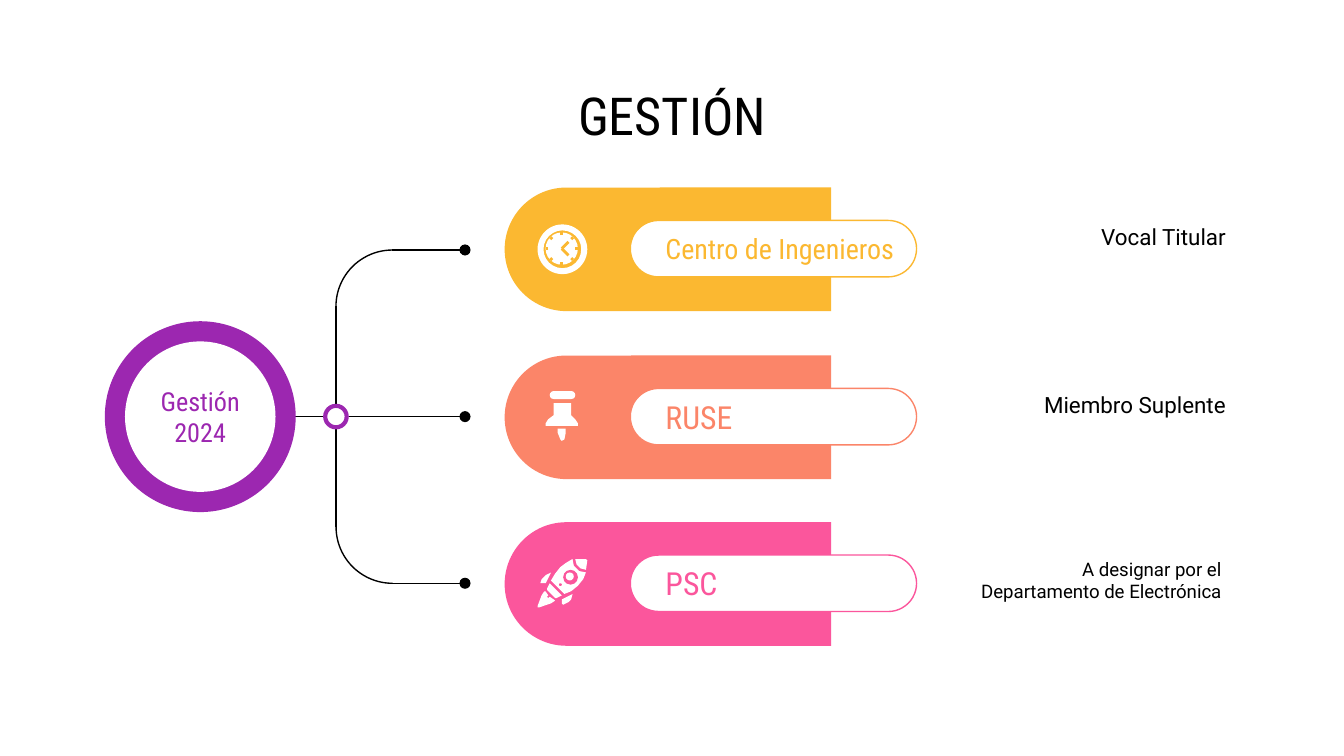
"""Build the GESTIÓN slide: a hub with three branches and their roles."""
import math
from dataclasses import dataclass

from lxml import etree
from pptx import Presentation
from pptx.dml.color import RGBColor
from pptx.enum import shapes, text
from pptx.oxml.ns import qn
from pptx.util import Pt

PX = 9144
FONT, CONDENSED = "Roboto", "Roboto Condensed"
BLACK = RGBColor(0x00, 0x00, 0x00)
WHITE = RGBColor(0xFF, 0xFF, 0xFF)
PURPLE = RGBColor(0x9C, 0x27, 0xB0)
YELLOW = RGBColor(0xFB, 0xB8, 0x31)
CORAL = RGBColor(0xFB, 0x85, 0x69)
PINK = RGBColor(0xFB, 0x56, 0x9C)
ICON_X = 418
HUB_X, HUB_Y = 250, 310
PITCH = 124
SHAPE = shapes.MSO_SHAPE

PIN_BODY = ((412, 300), (425, 300), (425, 309), (428, 312), (430, 315), (430, 317),
            (406, 317), (406, 315), (408, 312), (412, 309))
PIN_TIP = ((415, 319), (421, 319), (421, 322), (420, 327), (418, 328), (417, 327), (415, 322))
ROCKET = (
    ((426, 416), (421, 419), (417, 422), (413, 427), (410, 432), (420, 442), (425, 440),
     (430, 436), (434, 431), (436, 426), (431, 425), (427, 421)),
    ((428, 416), (434, 416), (436, 416), (437, 417), (436, 424), (432, 423), (429, 420)),
    ((409, 434), (407, 438), (407, 439), (413, 445), (414, 445), (418, 443)),
    ((426, 442), (418, 446), (418, 449), (419, 450), (423, 448), (425, 446)),
    ((410, 426), (406, 428), (403, 431), (402, 434), (406, 434)),
    ((405, 440), (403, 443), (400, 451), (400, 452), (401, 452), (410, 449), (413, 447),
     (412, 446), (409, 444), (408, 445), (407, 444), (408, 443), (406, 440)),
)


@dataclass(frozen=True)
class Branch:
    label: str
    label_size: int
    role: tuple[str, ...]
    role_size: int
    color: RGBColor
    y: int


BRANCHES = (
    Branch("Centro de Ingenieros", 15, ("Vocal Titular",), 12, YELLOW, 185),
    Branch("RUSE", 17, ("Miembro Suplente",), 12, CORAL, HUB_Y),
    Branch("PSC", 17, ("A designar por el ", "Departamento de Electrónica "), 10, PINK, 434),
)


def style(sp, fill: RGBColor | None, line: RGBColor | None = None, width: float = 0.75) -> None:
    """Set fill and outline and drop the shadow."""
    sp.shadow.inherit = False
    if fill is None:
        sp.fill.background()
    else:
        sp.fill.solid()
        sp.fill.fore_color.rgb = fill
    if line is None:
        sp.line.fill.background()
    else:
        sp.line.color.rgb = line
        sp.line.width = Pt(width)


def add_box(s, kind, x: int, y: int, w: int, h: int, fill: RGBColor | None,
            line: RGBColor | None = None, width: float = 0.75):
    """Add a preset shape."""
    sp = s.shapes.add_shape(kind, x * PX, y * PX, w * PX, h * PX)
    style(sp, fill, line, width)
    return sp


def add_disc(s, x: int, y: int, size: int, fill: RGBColor,
             line: RGBColor | None = None, width: float = 0.75):
    """Add a circle centred on a point."""
    return add_box(s, SHAPE.OVAL, x - size // 2, y - size // 2, size, size, fill, line, width)


def add_outline(s, points, fill: RGBColor) -> None:
    """Add a closed, filled polygon."""
    builder = s.shapes.build_freeform(*points[0], scale=PX)
    builder.add_line_segments(points[1:], close=True)
    style(builder.convert_to_shape(), fill)


def add_line(s, x1: float, y1: float, x2: float, y2: float, color: RGBColor = BLACK,
             width: float = 0.75, dot: bool = False) -> None:
    """Add a straight line, optionally ending in a dot."""
    ends = (round(v * PX) for v in (x1, y1, x2, y2))
    line = s.shapes.add_connector(shapes.MSO_CONNECTOR.STRAIGHT, *ends)
    line.line.color.rgb = color
    line.line.width = Pt(width)
    props = line._element.spPr
    if dot:
        etree.SubElement(props.find(qn("a:ln")), qn("a:tailEnd"), type="oval")
    etree.SubElement(props, qn("a:effectLst"))


def write(tf, lines, size: int, font: str, color: RGBColor, align,
          anchor=text.MSO_ANCHOR.MIDDLE, insets=(10, 10, 10, 10)) -> None:
    """Fill a text frame with evenly formatted paragraphs."""
    tf.word_wrap = True
    tf.auto_size = text.MSO_AUTO_SIZE.NONE
    tf.vertical_anchor = anchor
    tf.margin_left, tf.margin_top, tf.margin_right, tf.margin_bottom = (i * PX for i in insets)
    tf.text = "\n".join(lines)
    for p in tf.paragraphs:
        p.alignment = align
        p.font.size = Pt(size)
        p.font.name = font
        p.font.color.rgb = color


def draw_branch(s, b: Branch) -> None:
    """Draw the coloured tab, the label pill and the role."""
    tab = add_box(s, SHAPE.ROUND_2_SAME_RECTANGLE, 451, b.y - 121, 92, 243, b.color)
    tab.rotation = 270
    tab.adjustments[0], tab.adjustments[1] = 0.5, 0
    pill = add_box(s, SHAPE.ROUNDED_RECTANGLE, 469, b.y - 21, 213, 42, WHITE, b.color)
    pill.adjustments[0] = 0.5
    write(pill.text_frame, (b.label,), b.label_size, CONDENSED, b.color,
          text.PP_ALIGN.LEFT, insets=(20, 0, 10, 0))
    role = s.shapes.add_textbox(694 * PX, (b.y - 29) * PX, 228 * PX, 58 * PX)
    write(role.text_frame, b.role, b.role_size, FONT, BLACK,
          text.PP_ALIGN.RIGHT, text.MSO_ANCHOR.TOP)


def draw_clock(s, y: int) -> None:
    """Draw the clock icon."""
    rim = add_box(s, SHAPE.DONUT, ICON_X - 18, y - 18, 37, 37, WHITE)
    rim.adjustments[0] = 0.12
    add_disc(s, ICON_X, y, 24, WHITE)
    for i in range(8):
        dx, dy = math.cos(i * math.pi / 4), math.sin(i * math.pi / 4)
        add_line(s, ICON_X + 10 * dx, y + 10 * dy, ICON_X + 12 * dx, y + 12 * dy, YELLOW, 1.5)
    for dy in (-5, 5):
        add_line(s, ICON_X, y, ICON_X + 5, y + dy, YELLOW, 1.5)


def draw_pin(s) -> None:
    """Draw the push-pin icon."""
    head = add_box(s, SHAPE.ROUNDED_RECTANGLE, 409, 291, 19, 6, WHITE)
    head.adjustments[0] = 0.5
    for points in (PIN_BODY, PIN_TIP):
        add_outline(s, points, WHITE)


def draw_rocket(s) -> None:
    """Draw the rocket icon."""
    for points in ROCKET:
        add_outline(s, points, WHITE)
    for size, color in ((11, PINK), (6, WHITE)):
        add_disc(s, 424, 429, size, color)
    add_disc(s, 417, 435, 2, PINK)


def draw_hub(s) -> None:
    """Draw the connecting lines and the hub."""
    for y, top, turn in ((HUB_Y - PITCH, HUB_Y - PITCH, 270), (HUB_Y + PITCH, 350, 180)):
        arc = add_box(s, SHAPE.ARC, HUB_X, top, 84, 84, None, BLACK)
        arc.rotation = turn
        add_line(s, 292, y, 346, y, dot=True)
        add_line(s, HUB_X, top + 42, HUB_X, HUB_Y)
    add_line(s, 175, HUB_Y, 346, HUB_Y, dot=True)
    add_disc(s, HUB_X, HUB_Y, 16, WHITE, PURPLE, 2.25)
    add_disc(s, 149, HUB_Y, 142, PURPLE)
    core = add_disc(s, 149, HUB_Y, 112, WHITE)
    write(core.text_frame, ("Gestión", "2024"), 14, CONDENSED, PURPLE, text.PP_ALIGN.CENTER)


def main() -> None:
    """Build and save the slide."""
    prs = Presentation()
    prs.slide_width = 1000 * PX
    prs.slide_height = prs.slide_width * 9 // 16
    s = prs.slides.add_slide(prs.slide_layouts[5])
    title = s.shapes.title
    title.left, title.top, title.width, title.height = (v * PX for v in (78, 59, 844, 52))
    write(title.text_frame, ("GESTIÓN",), 28, CONDENSED, BLACK,
          text.PP_ALIGN.CENTER, insets=(0, 10, 0, 10))
    for branch in BRANCHES:
        draw_branch(s, branch)
    draw_clock(s, BRANCHES[0].y)
    draw_pin(s)
    draw_rocket(s)
    draw_hub(s)
    prs.save("out.pptx")


if __name__ == "__main__":
    main()
